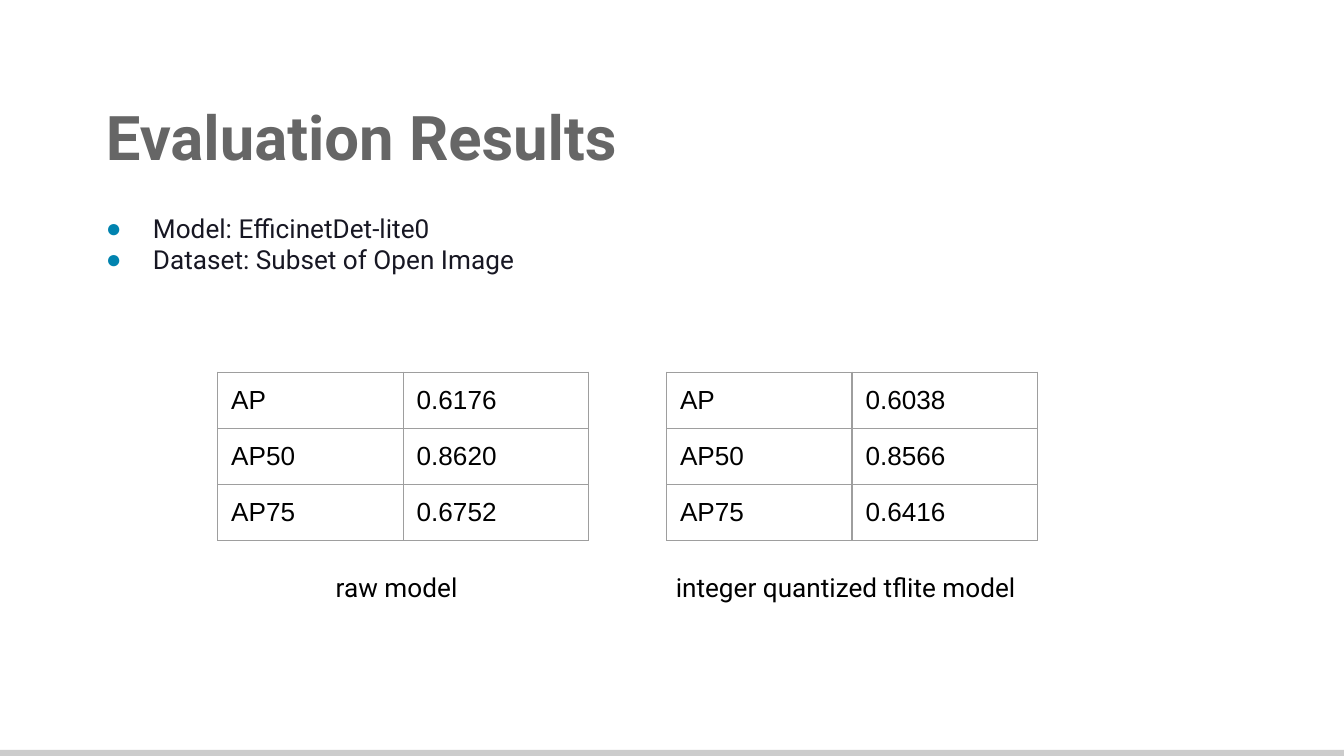
from lxml.etree import SubElement
from pptx import Presentation
from pptx.dml.color import RGBColor
from pptx.enum.shapes import MSO_SHAPE
from pptx.oxml.ns import qn
from pptx.util import Inches, Pt

# Content
TITLE = "Evaluation Results"
FACTS = ["Model: EfficinetDet-lite0", "Dataset: Subset of Open Image"]
ROWS = ["AP", "AP50", "AP75"]
MODELS = [
    {"name": "raw model", "scores": ["0.6176", "0.8620", "0.6752"],
     "left": 1.62, "label": (2.4, 1.73)},
    {"name": "integer quantized tflite model",
     "scores": ["0.6038", "0.8566", "0.6416"],
     "left": 4.96, "label": (4.93, 2.8)},
]

# Theme and grid, in points and inches
THEME = {
    "head": "Roboto", "cell": "Arial", "big": 33, "body": 14,
    "title": "666666", "fact": "171723", "dot": "0083AF",
    "text": "000000", "line": "9E9E9E", "bar": "CCCCCC",
}
WIDE = 10
HIGH = WIDE * 9 / 16
TOP, COL, TALL = 2.77, 1.38, 1.25
LABEL = TOP + TALL + 0.13
PAD = Inches(0.1)


def color(name):
    return RGBColor.from_string(THEME[name])


def write(para, text, tone, font="head", size="body", bold=False):
    run = para.add_run()
    run.text = text
    run.font.name = THEME[font]
    run.font.size = Pt(THEME[size])
    run.font.bold = bold
    run.font.color.rgb = color(tone)


def add_box(slide, *area):
    frame = slide.shapes.add_textbox(*map(Inches, area)).text_frame
    frame.word_wrap = True
    frame.margin_left = frame.margin_right = PAD
    frame.margin_top = frame.margin_bottom = PAD
    return frame


def add_dot(para):
    props = para._p.get_or_add_pPr()
    props.set("marL", str(Inches(0.5)))
    props.set("indent", str(-Inches(0.35)))
    tint = SubElement(props, qn("a:buClr"))
    SubElement(tint, qn("a:srgbClr"), val=THEME["dot"])
    SubElement(props, qn("a:buFont"), typeface=THEME["cell"])
    SubElement(props, qn("a:buChar"), char="●")


def style_cell(cell):
    cell.margin_left = cell.margin_right = cell.margin_top = PAD
    cell.margin_bottom = Inches(0.08)
    props = cell._tc.get_or_add_tcPr()
    for side in ("lnL", "lnR", "lnT", "lnB"):
        line = SubElement(props, qn("a:" + side), w=str(Pt(0.75)))
        fill = SubElement(line, qn("a:solidFill"))
        SubElement(fill, qn("a:srgbClr"), val=THEME["line"])
    cell.fill.background()


def add_scores(slide, model):
    area = (model["left"], TOP, 2 * COL, TALL)
    table = slide.shapes.add_table(len(ROWS), 2, *map(Inches, area)).table
    table.first_row = table.horz_banding = False
    for r, pair in enumerate(zip(ROWS, model["scores"])):
        for c, text in enumerate(pair):
            cell = table.cell(r, c)
            style_cell(cell)
            write(cell.text_frame.paragraphs[0], text, "text", "cell")


def main():
    deck = Presentation()
    deck.slide_width, deck.slide_height = Inches(WIDE), Inches(HIGH)
    slide = deck.slides.add_slide(deck.slide_layouts[6])

    # Bottom bar
    bar = slide.shapes.add_shape(
        MSO_SHAPE.RECTANGLE, *map(Inches, (-0.18, 5.58, 10.31, 0.22)))
    bar.shadow.inherit = False
    bar.fill.solid()
    bar.fill.fore_color.rgb = color("bar")
    bar.line.fill.background()

    # Title
    para = add_box(slide, 0.69, 0.48, 8.27, 0.63).paragraphs[0]
    para.line_spacing = 1.29
    write(para, TITLE, "title", size="big", bold=True)

    # Facts
    frame = add_box(slide, 0.54, 1.48, 9.13, 3.67)
    for i, fact in enumerate(FACTS):
        para = frame.add_paragraph() if i else frame.paragraphs[0]
        add_dot(para)
        write(para, fact, "fact")

    # Score tables with their labels
    for model in MODELS:
        add_scores(slide, model)
        left, width = model["label"]
        frame = add_box(slide, left, LABEL, width, 0.44)
        write(frame.paragraphs[0], model["name"], "text")

    deck.save("out.pptx")


if __name__ == "__main__":
    main()
